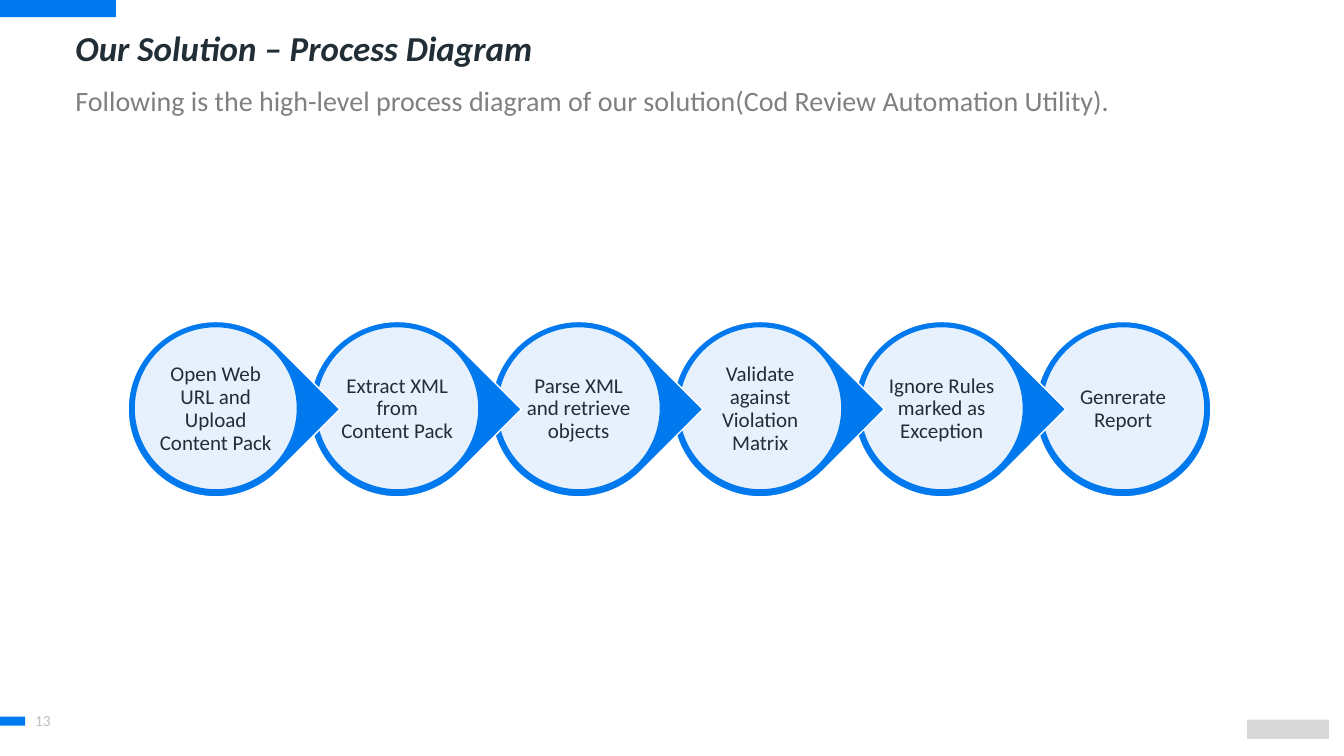
from dataclasses import dataclass

from lxml.etree import SubElement
from pptx import Presentation
from pptx.dml.color import RGBColor
from pptx.enum.shapes import MSO_SHAPE
from pptx.enum.text import MSO_ANCHOR, PP_ALIGN
from pptx.oxml.ns import qn
from pptx.util import Emu, Pt


@dataclass(frozen=True)
class Theme:
    font: str = "Calibri"
    blue: str = "0079EF"
    bar_blue: str = "0078EF"
    white: str = "FFFFFF"
    ink: str = "212E35"
    grey: str = "808080"
    pale_grey: str = "BFBFBF"
    mark_grey: str = "D9D9D9"
    title_size: int = 25
    subtitle_size: int = 20
    step_size: int = 15
    number_size: int = 11


THEME = Theme()
EMU_PER_PX = 9144  # 100 px to the inch

STEPS = [
    "Open Web URL and Upload Content Pack",
    "Extract XML from Content Pack",
    "Parse XML and retrieve objects",
    "Validate against Violation Matrix",
    "Ignore Rules marked as Exception",
    "Genrerate Report",
]
FIRST_STEP_LEFT, STEP_PITCH = 127, 180
RING_TOP, DISC_TOP, LABEL_TOP = 319, 324, 348
RING_SIZE, DISC_SIZE, LABEL_SIZE = 174, 162, 116
LABEL_INSET = 2
DISC_OPACITY = 90


def px(length):
    return Emu(length * EMU_PER_PX)


def add_filled_shape(slide, kind, left, top, width, height, fill, line=None):
    shape = slide.shapes.add_shape(kind, px(left), px(top), px(width), px(height))
    shape.shadow.inherit = False
    shape.fill.solid()
    shape.fill.fore_color.rgb = RGBColor.from_string(fill)
    if line:
        shape.line.color.rgb = RGBColor.from_string(line)
        shape.line.width = Pt(1)
    else:
        shape.line.fill.background()
    return shape


def set_opacity(shape, percent):
    color = shape.fill._xPr.find(qn("a:solidFill"))[0]
    SubElement(color, qn("a:alpha")).set("val", str(percent * 1000))


def add_text(slide, text, left, top, width, height, size, color,
             anchor=MSO_ANCHOR.TOP, line_spacing=1.0):
    """Add a wrapping one-paragraph text box and return it."""
    box = slide.shapes.add_textbox(px(left), px(top), px(width), px(height))
    frame = box.text_frame
    frame.word_wrap = True
    frame.vertical_anchor = anchor
    paragraph = frame.paragraphs[0]
    paragraph.line_spacing = line_spacing
    run = paragraph.add_run()
    run.text = text
    run.font.name = THEME.font
    run.font.size = Pt(size)
    run.font.color.rgb = RGBColor.from_string(color)
    return box


def add_title(slide, text):
    box = add_text(slide, text, 65, 26, 1128, 50, THEME.title_size, THEME.ink,
                   line_spacing=0.9)
    font = box.text_frame.paragraphs[0].runs[0].font
    font.bold = True
    font.italic = True


def add_step(slide, text, left, is_last):
    """Add a ring, pointed unless it is the last, with its disc and label."""
    kind = MSO_SHAPE.OVAL if is_last else MSO_SHAPE.TEAR
    ring = add_filled_shape(slide, kind, left, RING_TOP, RING_SIZE, RING_SIZE,
                            THEME.blue, THEME.white)
    if not is_last:
        ring.rotation = 45

    disc_left = left + (RING_SIZE - DISC_SIZE) // 2
    disc = add_filled_shape(slide, MSO_SHAPE.OVAL, disc_left, DISC_TOP,
                            DISC_SIZE, DISC_SIZE, THEME.white, THEME.blue)
    set_opacity(disc, DISC_OPACITY)

    label_left = left + (RING_SIZE - LABEL_SIZE) // 2
    label = add_text(slide, text, label_left, LABEL_TOP, LABEL_SIZE, LABEL_SIZE,
                     THEME.step_size, THEME.ink, MSO_ANCHOR.MIDDLE, 0.9)
    frame = label.text_frame
    frame.margin_left = frame.margin_right = px(LABEL_INSET)
    frame.margin_top = frame.margin_bottom = px(LABEL_INSET)
    frame.paragraphs[0].alignment = PP_ALIGN.CENTER


def add_process(slide):
    """Draw the steps from right to left, so each point overlaps the next ring."""
    last = len(STEPS) - 1
    for index in range(last, -1, -1):
        left = FIRST_STEP_LEFT + index * STEP_PITCH
        add_step(slide, STEPS[index], left, index == last)


def main():
    presentation = Presentation()
    presentation.slide_width = px(1333)
    presentation.slide_height = px(750)
    slide = presentation.slides.add_slide(presentation.slide_layouts[6])

    add_filled_shape(slide, MSO_SHAPE.RECTANGLE, 0, 0, 115, 17, THEME.bar_blue)
    add_filled_shape(slide, MSO_SHAPE.RECTANGLE, 1237, 714, 81, 19, THEME.mark_grey)
    add_filled_shape(slide, MSO_SHAPE.RECTANGLE, 0, 711, 25, 9, THEME.blue)
    add_title(slide, "Our Solution – Process Diagram")
    add_text(slide, "13", 25, 695, 40, 40, THEME.number_size, THEME.pale_grey,
             MSO_ANCHOR.MIDDLE)
    add_process(slide)
    add_text(slide, "Following is the high-level process diagram of our "
             "solution(Cod Review Automation Utility).",
             65, 78, 1094, 44, THEME.subtitle_size, THEME.grey)

    presentation.save("out.pptx")


if __name__ == "__main__":
    main()
